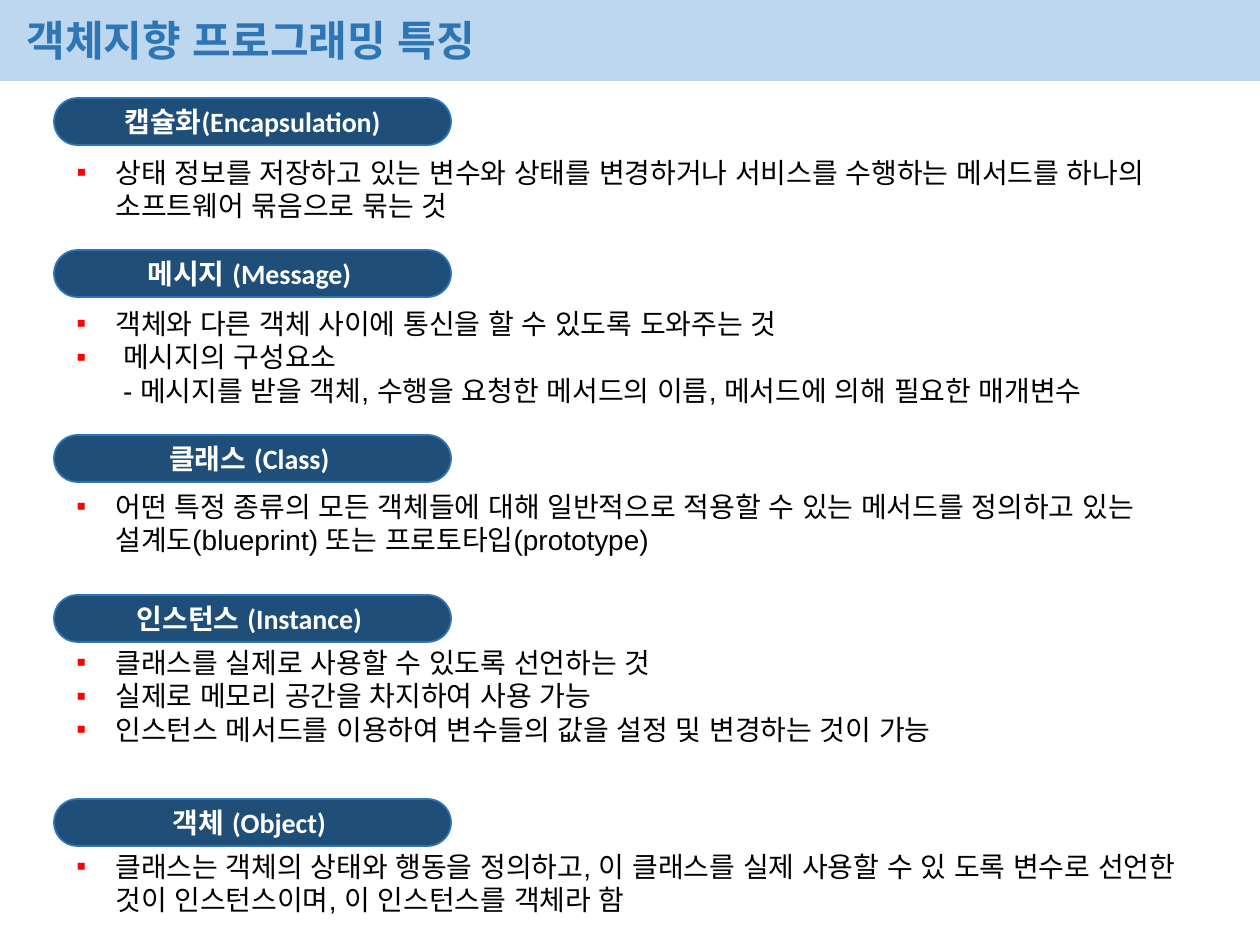
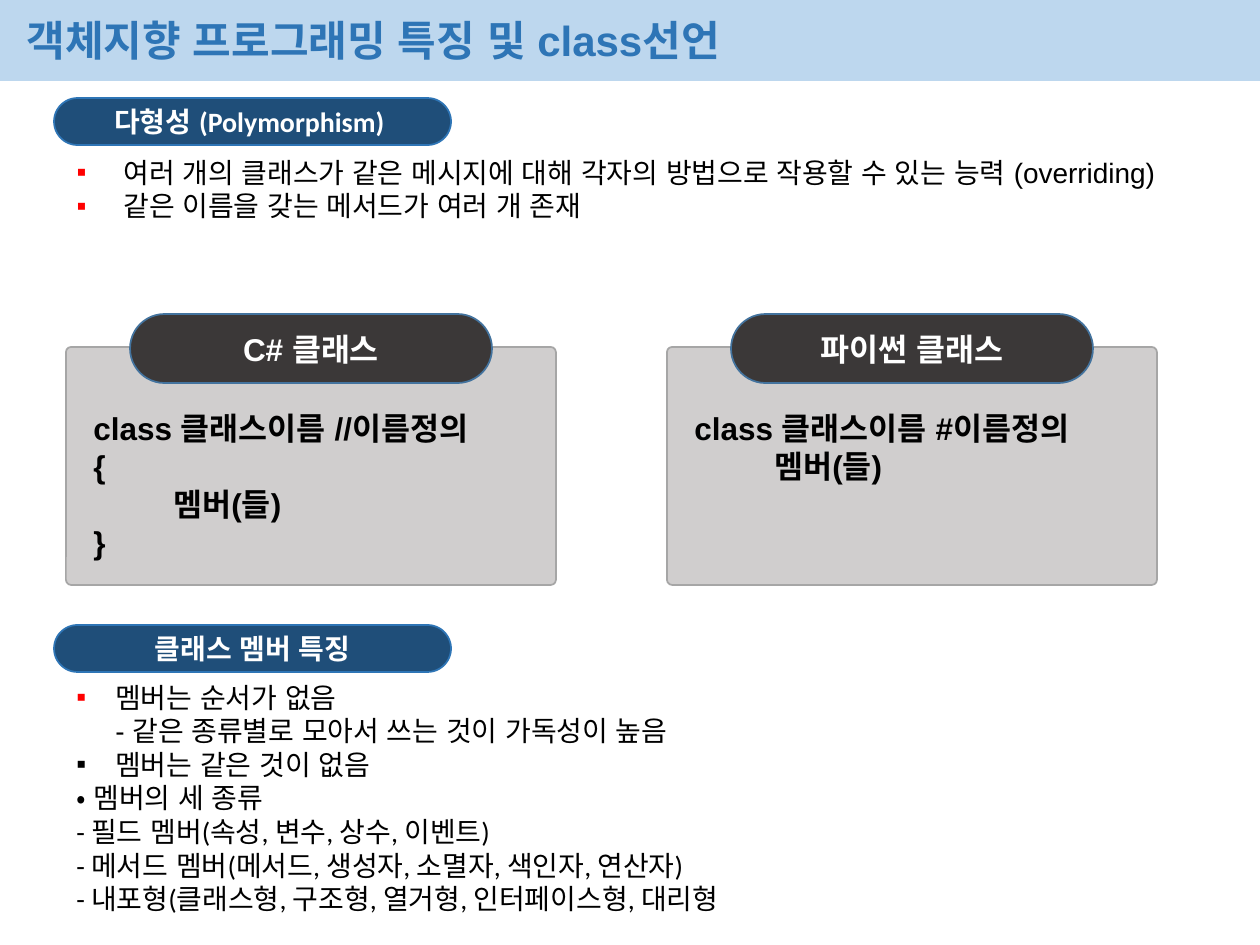
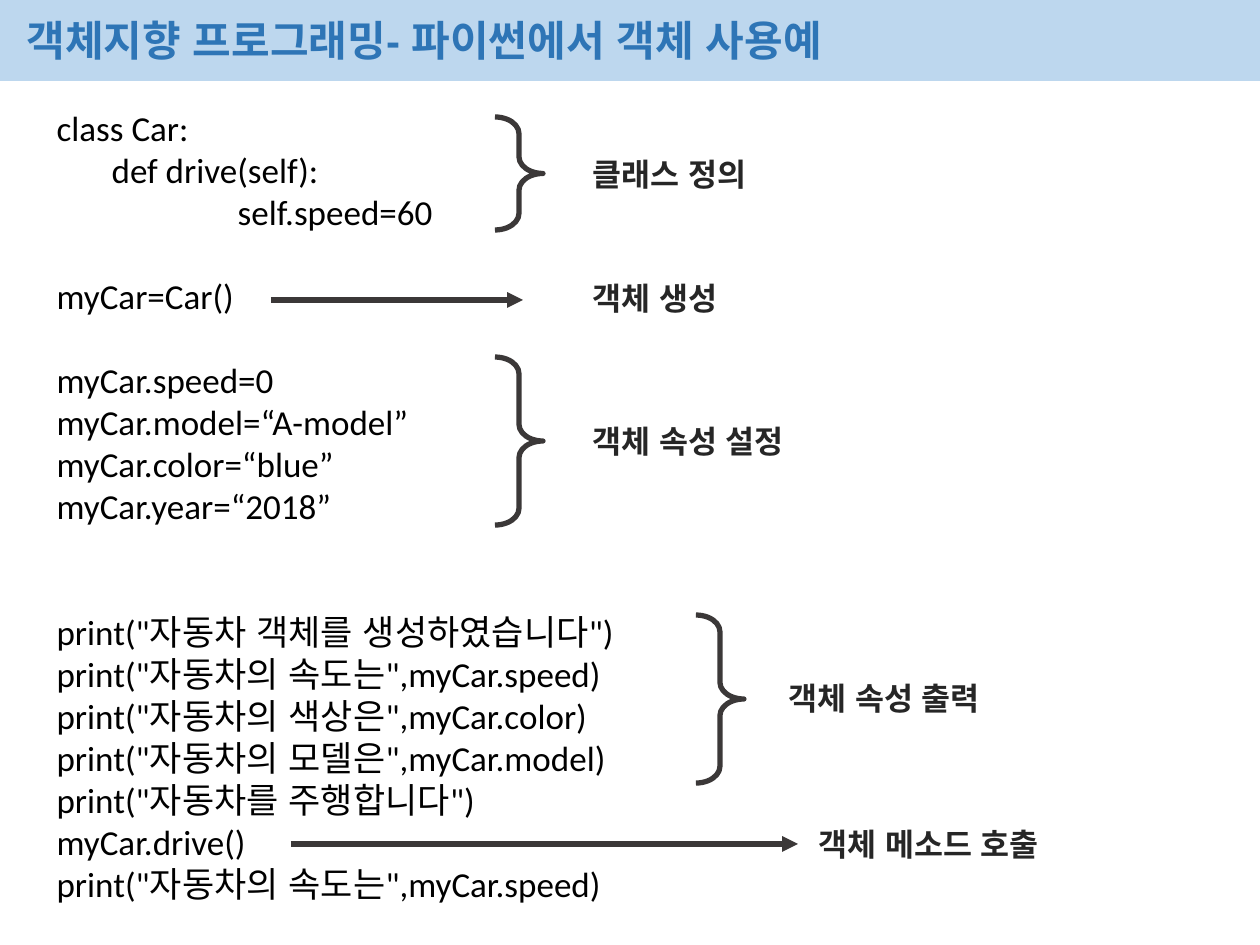
import copy
from dataclasses import dataclass

import pptx
import pptx.dml.color
import pptx.enum.lang
import pptx.enum.shapes
import pptx.enum.text
import pptx.oxml.ns
import pptx.util
from lxml import etree

SHAPES = pptx.enum.shapes.MSO_SHAPE
ALIGN = pptx.enum.text.PP_ALIGN
ANCHOR = pptx.enum.text.MSO_ANCHOR
FIT = pptx.enum.text.MSO_AUTO_SIZE
KOREAN = pptx.enum.lang.MSO_LANGUAGE_ID.KOREAN
qn = pptx.oxml.ns.qn


@dataclass(frozen=True)
class Theme:
    """Colours, fonts and type sizes shared by the slides."""

    band: str = "BDD7EE"
    accent: str = "2E75B6"
    heading: str = "1F4E79"
    bullet: str = "FF0000"
    text: str = "000000"
    label: str = "262626"
    white: str = "FFFFFF"
    dark: str = "3B3838"
    dark_edge: str = "43739E"
    card: str = "D0CECE"
    card_edge: str = "A6A6A6"
    sans: str = "Arial"
    code: str = "Calibri"
    title_size: int = 24
    code_size: int = 20
    label_size: int = 18
    list_size: int = 16


THEME = Theme()


@dataclass(frozen=True)
class Style:
    """Look of the runs of a text."""

    size: int
    font: str = THEME.sans
    color: str = THEME.text
    bold: bool = False


TITLE = Style(THEME.title_size, color=THEME.accent, bold=True)
HEADING = Style(THEME.list_size, THEME.code, THEME.white, True)
CARD_HEADING = Style(THEME.label_size, color=THEME.white, bold=True)
CARD_CODE = Style(THEME.label_size, bold=True)
LABEL = Style(THEME.label_size, color=THEME.label, bold=True)
LIST = Style(THEME.list_size)
PLAIN_LIST = Style(THEME.list_size, THEME.code)
CODE = Style(THEME.code_size, THEME.code)

BULLET_INDENT = 39
LINE_HEIGHT = 42


@dataclass(frozen=True)
class Line:
    """One paragraph with its style, bullet colour, indent and space before."""

    text: str
    style: Style
    bullet: str = ""
    indent: int = 0
    gap: int = 0


def px(value):
    """Turn whole pixels into EMU."""
    return pptx.util.Emu(round(value * 914400 / 126))


def rgb(value):
    """Turn a hex string into a colour."""
    return pptx.dml.color.RGBColor.from_string(value)


def place(shape, left, top, width, height):
    """Move and size a shape in pixels."""
    shape.left, shape.top = px(left), px(top)
    shape.width, shape.height = px(width), px(height)


def format_runs(paragraph, style):
    """Format the runs and line breaks of a paragraph."""
    for run in paragraph.runs:
        run.font.size = pptx.util.Pt(style.size)
        run.font.name = style.font
        run.font.bold = style.bold
        run.font.color.rgb = rgb(style.color)
        run.font.language_id = KOREAN
    for line_break in paragraph._p.findall(qn("a:br")):
        line_break.insert(0, copy.deepcopy(paragraph.runs[0]._r.rPr))


def set_bullet(paragraph, color, indent):
    """Set the indent and the square bullet, or no bullet, of a paragraph."""
    properties = paragraph._p.get_or_add_pPr()
    hanging = BULLET_INDENT if color else 0
    properties.set("marL", str(px(indent + hanging)))
    properties.set("indent", str(-px(hanging)))
    if not color:
        etree.SubElement(properties, qn("a:buNone"))
        return
    fill = etree.SubElement(properties, qn("a:buClr"))
    etree.SubElement(fill, qn("a:srgbClr"), val=color)
    etree.SubElement(properties, qn("a:buFont"), typeface=THEME.sans)
    etree.SubElement(properties, qn("a:buChar"), char="▪")


def write_lines(shape, lines):
    """Fill a text shape with paragraphs."""
    frame = shape.text_frame
    frame.text = "\n".join(line.text for line in lines)
    frame.word_wrap = True
    frame.auto_size = FIT.SHAPE_TO_FIT_TEXT
    frame.vertical_anchor = ANCHOR.TOP
    for paragraph, line in zip(frame.paragraphs, lines):
        paragraph.alignment = ALIGN.LEFT
        paragraph.space_before = px(line.gap * LINE_HEIGHT)
        set_bullet(paragraph, line.bullet, line.indent)
        format_runs(paragraph, line.style)


def add_text(slide, box, lines):
    """Add a text box with paragraphs."""
    shape = slide.shapes.add_textbox(*map(px, box))
    write_lines(shape, lines)
    return shape


def fill_body(slide, box, lines):
    """Fill the body placeholder of a slide."""
    body = slide.placeholders[1]
    place(body, *box)
    write_lines(body, lines)


def add_shape(slide, kind, box, fill=None, edge=None, weight=1):
    """Add a preset shape without a shadow."""
    shape = slide.shapes.add_shape(kind, *map(px, box))
    shape.shadow.inherit = False
    if fill:
        shape.fill.solid()
        shape.fill.fore_color.rgb = rgb(fill)
    else:
        shape.fill.background()
    if edge:
        shape.line.color.rgb = rgb(edge)
        shape.line.width = pptx.util.Pt(weight)
    else:
        shape.line.fill.background()
    return shape


def add_pill(slide, box, text, style, fill, edge):
    """Add a fully rounded heading with centred text."""
    pill = add_shape(slide, SHAPES.ROUNDED_RECTANGLE, box, fill, edge)
    pill.adjustments[0] = 0.5
    pill.text_frame.text = text
    pill.text_frame.vertical_anchor = ANCHOR.MIDDLE
    paragraph = pill.text_frame.paragraphs[0]
    paragraph.alignment = ALIGN.CENTER
    format_runs(paragraph, style)


def add_heading(slide, top, text):
    """Add the blue heading of a section."""
    add_pill(slide, (54, top, 397, 47), text, HEADING, THEME.heading, THEME.accent)


def add_card(slide, left, heading, lines):
    """Add a grey code card with a dark heading."""
    card = add_shape(slide, SHAPES.ROUNDED_RECTANGLE, (left, 347, 490, 238),
                     THEME.card, THEME.card_edge)
    card.adjustments[0] = 0.022
    add_pill(slide, (left + 64, 314, 362, 69), heading, CARD_HEADING,
             THEME.dark, THEME.dark_edge)
    add_text(slide, (left + 15, 403, 490, 12 + 38 * len(lines)), lines)


def add_brace(slide, left, top, height):
    """Add a right brace beside a group of code lines."""
    brace = add_shape(slide, SHAPES.RIGHT_BRACE, (left, top, 48, height),
                      edge=THEME.dark, weight=3)
    brace.adjustments[0] = 0.347


def add_arrow(slide, start, end, y):
    """Add a level arrow from a code line to its label."""
    arrow = slide.shapes.add_connector(
        pptx.enum.shapes.MSO_CONNECTOR.STRAIGHT, px(start), px(y), px(end), px(y))
    arrow.line.color.rgb = rgb(THEME.dark)
    arrow.line.width = pptx.util.Pt(3)
    etree.SubElement(arrow.line._get_or_add_ln(), qn("a:tailEnd"), type="triangle")
    etree.SubElement(arrow._element.spPr, qn("a:effectLst"))


def add_label(slide, left, top, width, text):
    """Add a bold label on one line."""
    label = add_text(slide, (left, top, width, 50), [Line(text, LABEL)])
    label.text_frame.word_wrap = False


def add_slide(presentation, title):
    """Add a slide with the title on its band."""
    slide = presentation.slides.add_slide(presentation.slide_layouts[1])
    band = add_shape(slide, SHAPES.RECTANGLE, (0, 0, 1260, 81), THEME.band)
    heading = slide.shapes.title
    heading.element.addprevious(band.element)
    place(heading, 14, 8, 1019, 63)
    write_lines(heading, [Line(title, TITLE)])
    return slide


def bullets(*texts):
    """Make list lines with red bullets."""
    return [Line(text, LIST, THEME.bullet) for text in texts]


def build_features(presentation):
    """Build the slide on the features of object orientation."""
    slide = add_slide(presentation, "객체지향 프로그래밍 특징")
    fill_body(slide, (64, 149, 1124, 81), bullets(
        "상태 정보를 저장하고 있는 변수와 상태를 변경하거나 서비스를 수행하는 "
        "메서드를 하나의 소프트웨어 묶음으로 묶는 것"))
    add_heading(slide, 98, "캡슐화(Encapsulation)")
    sections = [
        (250, "메시지 (Message) ", 300, 115, bullets(
            "객체와 다른 객체 사이에 통신을 할 수 있도록 도와주는 것",
            " 메시지의 구성요소\v - 메시지를 받을 객체, 수행을 요청한 메서드의 이름, "
            "메서드에 의해 필요한 매개변수")),
        (435, "클래스 (Class) ", 483, 81, bullets(
            "어떤 특정 종류의 모든 객체들에 대해 일반적으로 적용할 수 있는 메서드를 "
            "정의하고 있는 설계도(blueprint) 또는 프로토타입(prototype)")),
        (595, "인스턴스 (Instance) ", 639, 115, bullets(
            "클래스를 실제로 사용할 수 있도록 선언하는 것",
            "실제로 메모리 공간을 차지하여 사용 가능",
            "인스턴스 메서드를 이용하여 변수들의 값을 설정 및 변경하는 것이 가능")),
        (799, "객체 (Object) ", 843, 81, bullets(
            "클래스는 객체의 상태와 행동을 정의하고, 이 클래스를 실제 사용할 수 있 "
            "도록 변수로 선언한 것이 인스턴스이며, 이 인스턴스를 객체라 함")),
    ]
    for heading_top, heading, list_top, height, lines in sections:
        add_text(slide, (64, list_top, 1152, height), lines)
        add_heading(slide, heading_top, heading)


def build_declaration(presentation):
    """Build the slide on polymorphism and class declaration."""
    slide = add_slide(presentation, "객체지향 프로그래밍 특징 및 class선언")
    fill_body(slide, (64, 149, 1124, 115), bullets(
        " 여러 개의 클래스가 같은 메시지에 대해 각자의 방법으로 작용할 수 있는 "
        "능력 (overriding)",
        " 같은 이름을 갖는 메서드가 여러 개 존재"))
    add_heading(slide, 98, "다형성 (Polymorphism) ")
    member = Line("멤버(들)", CARD_CODE, indent=80)
    cards = [
        ("C# 클래스", [Line("class 클래스이름 //이름정의", CARD_CODE),
                    Line("{", CARD_CODE), member, Line("}", CARD_CODE)]),
        ("파이썬 클래스", [Line("class 클래스이름 #이름정의", CARD_CODE), member]),
    ]
    for index, (heading, lines) in enumerate(cards):
        add_card(slide, 66 + 601 * index, heading, lines)
    plain = [
        "• 멤버의 세 종류",
        "- 필드 멤버(속성, 변수, 상수, 이벤트)",
        "- 메서드 멤버(메서드, 생성자, 소멸자, 색인자, 연산자)",
        "- 내포형(클래스형, 구조형, 열거형, 인터페이스형, 대리형",
    ]
    members = bullets("멤버는 순서가 없음\v- 같은 종류별로 모아서 쓰는 것이 가독성이 높음")
    members.append(Line("멤버는 같은 것이 없음", PLAIN_LIST, THEME.text))
    members += [Line(text, PLAIN_LIST) for text in plain]
    add_text(slide, (64, 674, 1124, 285), members)
    add_heading(slide, 625, "클래스 멤버 특징")


def build_example(presentation):
    """Build the slide with the annotated code example."""
    slide = add_slide(presentation, "객체지향 프로그래밍- 파이썬에서 객체 사용예")
    code = [
        ("class Car:", 0, 0),
        ("def drive(self):", 55, 0),
        ("self.speed=60", 181, 0),
        ("myCar=Car()", 0, 1),
        ("myCar.speed=0", 0, 1),
        ("myCar.model=“A-model”", 0, 0),
        ("myCar.color=“blue”", 0, 0),
        ("myCar.year=“2018”", 0, 0),
        ('print("자동차 객체를 생성하였습니다")', 0, 2),
        ('print("자동차의 속도는",myCar.speed)', 0, 0),
        ('print("자동차의 색상은",myCar.color)', 0, 0),
        ('print("자동차의 모델은",myCar.model)', 0, 0),
        ('print("자동차를 주행합니다")', 0, 0),
        ("myCar.drive()", 0, 0),
        ('print("자동차의 속도는",myCar.speed)', 0, 0),
    ]
    fill_body(slide, (44, 100, 1110, 819), [
        Line(text, CODE, indent=indent, gap=gap) for text, indent, gap in code])
    for left, top, height in [(495, 117, 113), (495, 357, 168), (696, 615, 168)]:
        add_brace(slide, left, top, height)
    for start, end, y in [(271, 523, 300), (291, 798, 844)]:
        add_arrow(slide, start, end, y)
    labels = [
        (580, 149, 195, "클래스 정의"),
        (580, 273, 164, "객체 생성"),
        (580, 416, 239, "객체 속성 설정"),
        (776, 673, 239, "객체 속성 출력"),
        (806, 819, 271, "객체 메소드 호출"),
    ]
    for left, top, width, text in labels:
        add_label(slide, left, top, width, text)


def main():
    """Build the presentation and save it."""
    presentation = pptx.Presentation()
    presentation.slide_width, presentation.slide_height = px(1260), px(945)
    build_features(presentation)
    build_declaration(presentation)
    build_example(presentation)
    presentation.save("out.pptx")


main()
